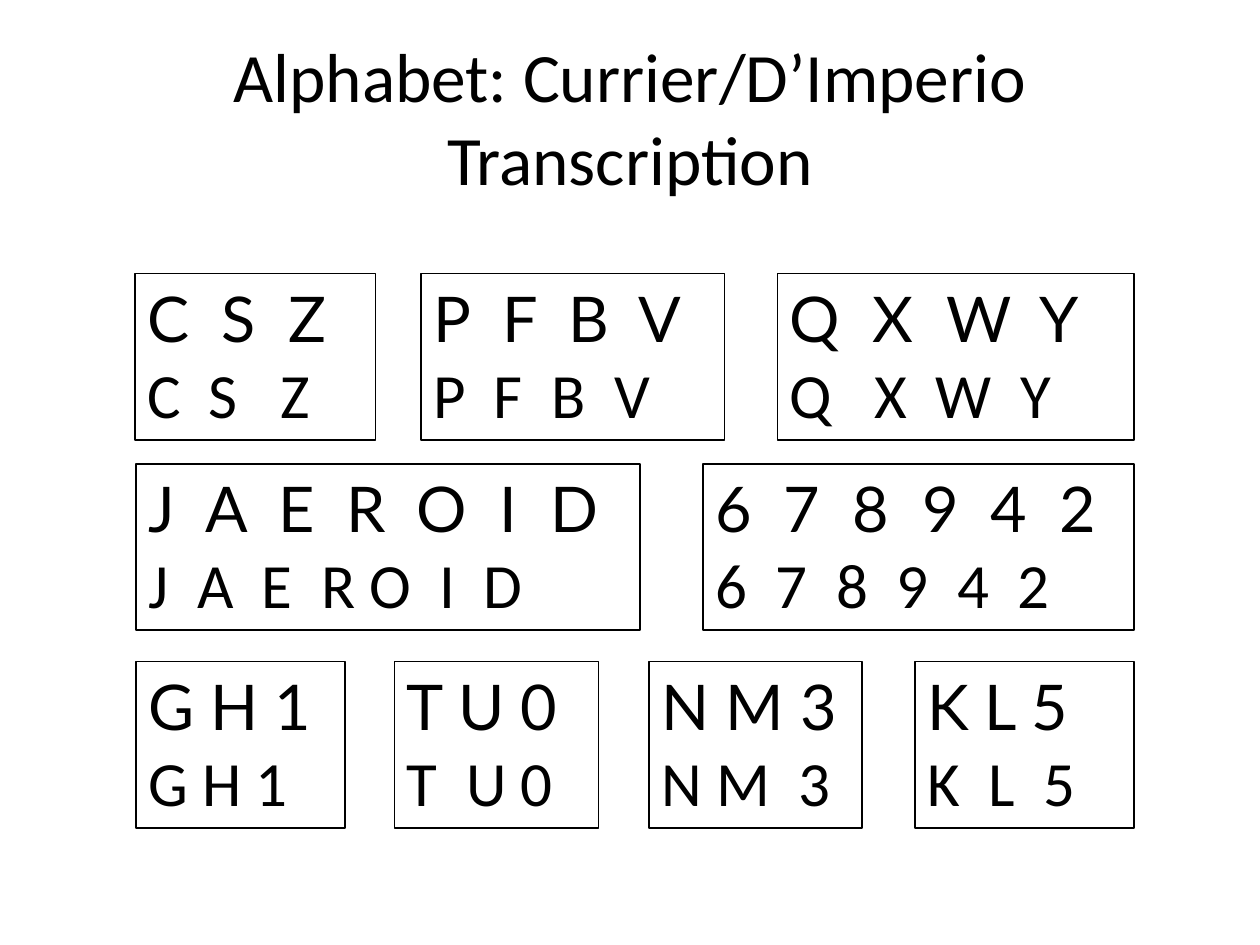
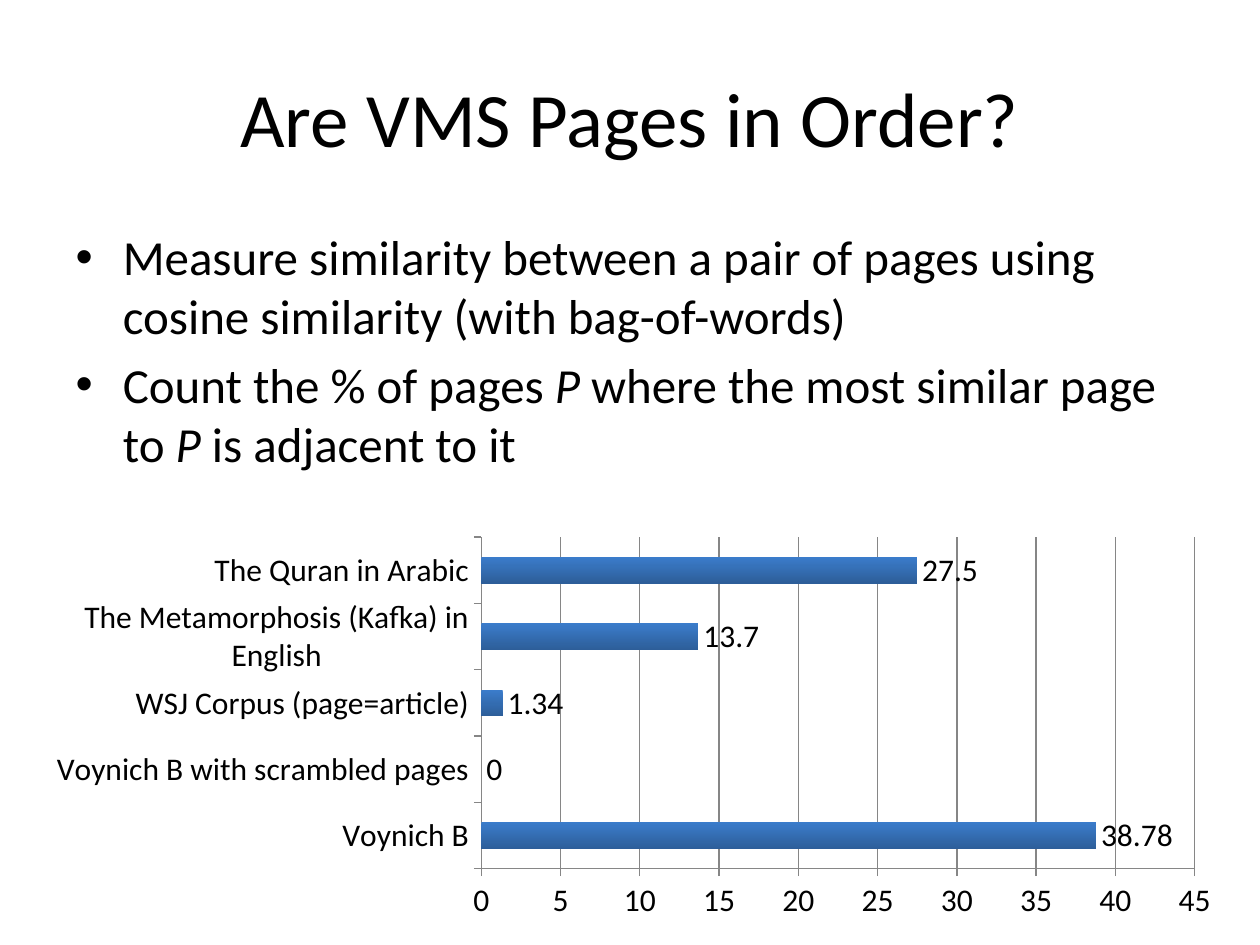
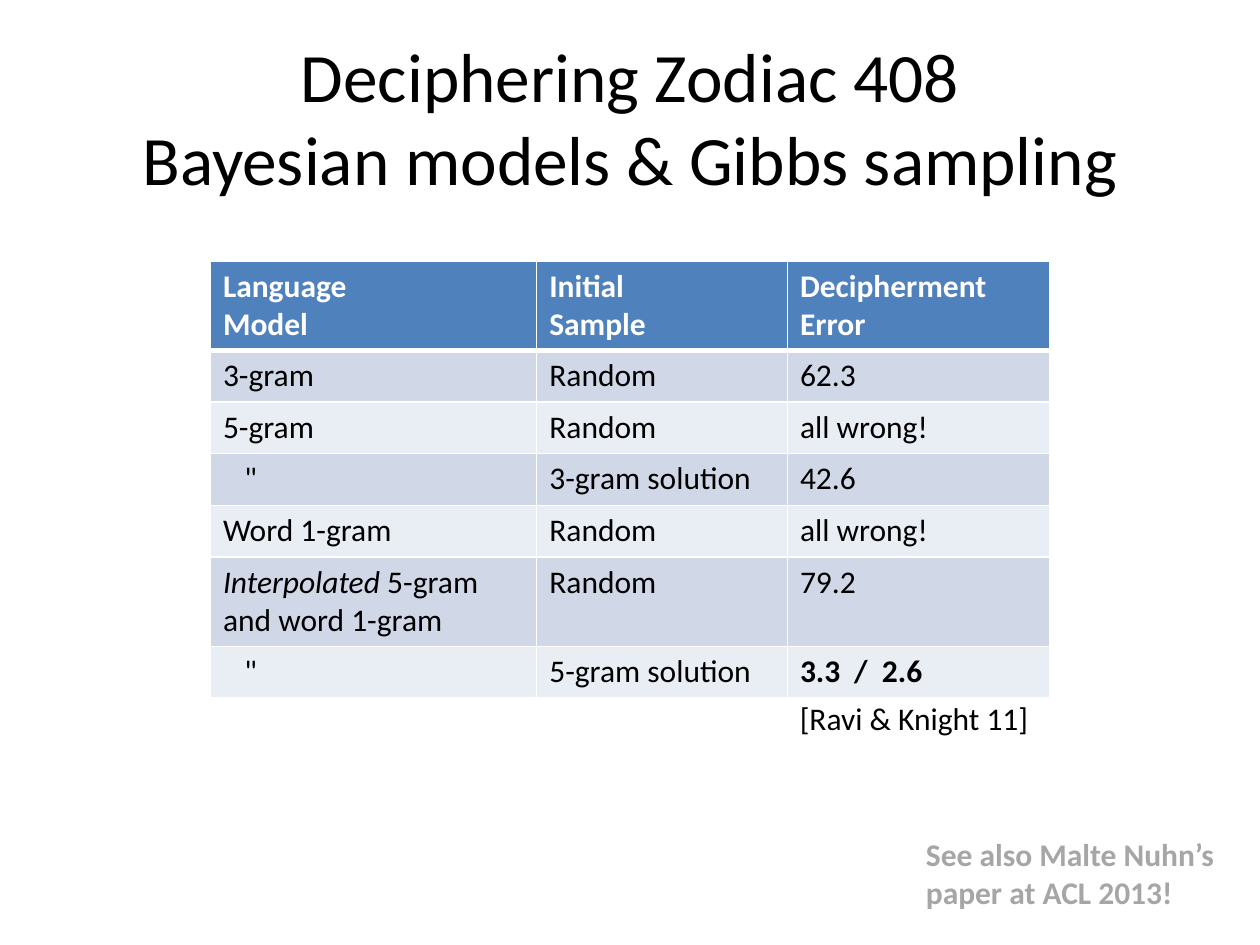
from lxml.etree import SubElement
from pptx import Presentation
from pptx.chart.data import CategoryChartData
from pptx.dml.color import RGBColor
from pptx.enum.chart import XL_CHART_TYPE, XL_LABEL_POSITION, XL_TICK_MARK
from pptx.enum.shapes import MSO_SHAPE
from pptx.enum.text import MSO_ANCHOR, MSO_AUTO_SIZE, PP_ALIGN
from pptx.oxml.ns import qn
from pptx.util import Pt

EMU_PER_PX = 9144  # 100 px to the inch
COLORS = {
    "text": "000000", "paper": "FFFFFF", "header": "4F81BD", "band_dark": "D0D8E8",
    "band_light": "E9EDF4", "note": "A6A6A6", "axis": "868686",
    "bar_top": "3B7CCB", "bar_bottom": "2D5E99",
}
BODY_FONT, GLYPH_FONT = "Calibri", "Lato"
TITLE_AND_BODY, TITLE_ONLY = 1, 5

# left, top, width, then (letters, tab stops) in the glyph font and in the body font
GLYPH_BOXES = [
    (107, 217, 191, ("C\tS\tZ", (59, 112)), ("C\tS\tZ", (49, 106))),
    (334, 217, 241, ("P\tF\tB\tV", (55, 107, 163)), ("P\tF\tB\tV", (48, 94, 144))),
    (617, 217, 283, ("Q\tX\tW\tY", (66, 124, 198)), ("Q\tX\tW\tY", (67, 116, 183))),
    (108, 368, 400, ("J\tA\tE\tR\tO\tI\tD", (45, 103, 157, 213, 279, 319)),
     ("J\tA\tE\tR O\tI\tD", (39, 90, 137, 231, 266))),
    (558, 368, 342, ("6\t7\t8\t9\t4\t2", (54, 109, 164, 218, 273)),
     ("6\t7\t8\t9\t4\t2", (48, 96, 144, 192, 240))),
    (108, 525, 166, ("G H 1", ()), ("G H 1", ())),
    (313, 525, 162, ("T U 0", ()), ("T\tU 0", (47,))),
    (515, 525, 169, ("N M 3", ()), ("N M\t3", (109,))),
    (726, 525, 174, ("K L 5", ()), ("K\tL\t5", (49, 92))),
]

ADJACENCY = {
    "Voynich B": 38.78,
    "Voynich B with scrambled pages": 0,
    "WSJ Corpus (page=article)": 1.34,
    "The Metamorphosis (Kafka) in English": 13.7,
    "The Quran in Arabic": 27.5,
}

DITTO = '"'
RESULTS = [
    ("Language\nModel", "Initial\nSample", "Decipherment\nError"),
    ("3-gram", "Random", "62.3"),
    ("5-gram", "Random", "all wrong!"),
    (DITTO, "3-gram solution", "42.6"),
    ("Word 1-gram", "Random", "all wrong!"),
    ("_Interpolated_ 5-gram\nand word 1-gram", "Random", "79.2"),
    (DITTO, "5-gram solution", "3.3\t/\t2.6"),
]


def px(*lengths):
    return [length * EMU_PER_PX for length in lengths]


def rgb(color):
    return RGBColor.from_string(COLORS[color])


def add_tab_stops(paragraph, stops):
    tab_list = SubElement(paragraph._p.get_or_add_pPr(), qn("a:tabLst"))
    for position in px(*stops):
        SubElement(tab_list, qn("a:tab"), pos=str(position), algn="l")


def write(paragraph, text, size=18, font=BODY_FONT, color="text", bold=False,
          align=None, stops=()):
    """Fill a paragraph; words between underscores become italic."""
    if stops:
        add_tab_stops(paragraph, stops)
    if align is not None:
        paragraph.alignment = align
    for index, part in enumerate(text.split("_")):
        if not part:
            continue
        for line_number, line in enumerate(part.split("\v")):
            if line_number:
                paragraph.add_line_break()
            run = paragraph.add_run()
            run.text = line
            run.font.size, run.font.name = Pt(size), font
            run.font.bold, run.font.italic = bold, index % 2 == 1
            run.font.color.rgb = rgb(color)


def write_lines(frame, text, **style):
    for index, line in enumerate(text.split("\n")):
        write(frame.add_paragraph() if index else frame.paragraphs[0], line, **style)


def add_border(cell, side, width):
    line = SubElement(cell._tc.get_or_add_tcPr(), qn(f"a:ln{side}"), w=str(Pt(width)))
    fill = SubElement(line, qn("a:solidFill"))
    SubElement(fill, qn("a:srgbClr"), val=COLORS["paper"])


class Deck:
    def __init__(self):
        self.presentation = Presentation()
        self.presentation.slide_width, self.presentation.slide_height = px(1000, 750)
        self.slide = None

    def place(self, placeholder, left, top, width, height):
        placeholder.left, placeholder.top, placeholder.width, placeholder.height = px(
            left, top, width, height)
        placeholder.text_frame.auto_size = MSO_AUTO_SIZE.NONE

    def new_slide(self, title, size=39.6, layout=TITLE_ONLY):
        self.slide = self.presentation.slides.add_slide(
            self.presentation.slide_layouts[layout])
        heading = self.slide.shapes.title
        self.place(heading, 50, 30, 900, 125)
        heading.text_frame.vertical_anchor = MSO_ANCHOR.MIDDLE
        write_lines(heading.text_frame, title, size=size, align=PP_ALIGN.CENTER)

    def bullets(self, text):
        body = self.slide.placeholders[1]
        self.place(body, 50, 175, 900, 495)
        write_lines(body.text_frame, text, size=28)
        body.text_frame.paragraphs[0].space_before = Pt(0)

    def glyph_box(self, left, top, width, glyphs, letters):
        box = self.slide.shapes.add_shape(
            MSO_SHAPE.RECTANGLE, *px(left, top, width, 132))
        box.shadow.inherit = False
        box.fill.background()
        box.line.color.rgb, box.line.width = rgb("text"), Pt(1)
        frame = box.text_frame
        frame.word_wrap, frame.vertical_anchor = True, MSO_ANCHOR.TOP
        for (text, stops), font, paragraph in (
                (glyphs, GLYPH_FONT, frame.paragraphs[0]),
                (letters, BODY_FONT, frame.add_paragraph())):
            write(paragraph, text, size=36, font=font, align=PP_ALIGN.LEFT, stops=stops)

    def note(self, left, top, width, height, text, **style):
        box = self.slide.shapes.add_textbox(*px(left, top, width, height))
        box.text_frame.word_wrap = False
        write_lines(box.text_frame, text, **style)

    def bar_chart(self, left, top, width, height, values):
        data = CategoryChartData()
        data.categories = list(values)
        data.add_series("Series 1", list(values.values()))
        chart = self.slide.shapes.add_chart(
            XL_CHART_TYPE.BAR_CLUSTERED, *px(left, top, width, height), data).chart
        chart.has_legend = chart.has_title = False
        chart.font.size, chart.font.name = Pt(18), BODY_FONT
        chart.font.color.rgb = rgb("text")

        plot = chart.plots[0]
        plot.gap_width, plot.vary_by_categories = 150, False
        plot.has_data_labels = True
        plot.data_labels.show_value = True
        plot.data_labels.position = XL_LABEL_POSITION.OUTSIDE_END
        bars = plot.series[0].format.fill
        bars.gradient()
        bars.gradient_angle = 270
        for stop, color in zip(bars.gradient_stops, ("bar_top", "bar_bottom")):
            stop.color.rgb = rgb(color)

        for axis in (chart.category_axis, chart.value_axis):
            axis.major_tick_mark = XL_TICK_MARK.OUTSIDE
            axis.format.line.color.rgb = rgb("axis")
        scale = chart.value_axis
        scale.minimum_scale, scale.maximum_scale, scale.major_unit = 0, 45, 5
        scale.has_major_gridlines = True
        scale.major_gridlines.format.line.color.rgb = rgb("axis")

    def banded_table(self, left, top, column_widths, rows):
        heights = [70 if "\n" in row[0] else 41 for row in rows]
        table = self.slide.shapes.add_table(
            len(rows), len(column_widths),
            *px(left, top, sum(column_widths), sum(heights))).table
        for column, width in zip(table.columns, px(*column_widths)):
            column.width = width
        for row, height in zip(table.rows, px(*heights)):
            row.height = height
        for row_number, row in enumerate(rows):
            is_header = row_number == 0
            band = "band_dark" if row_number % 2 else "band_light"
            for column_number, text in enumerate(row):
                cell = table.cell(row_number, column_number)
                for side, width in (("L", 1), ("R", 1), ("T", 3 if row_number == 1 else 1),
                                    ("B", 3 if is_header else 1)):
                    add_border(cell, side, width)
                cell.fill.solid()
                cell.fill.fore_color.rgb = rgb("header" if is_header else band)
                if text == DITTO:
                    cell.margin_left = px(27)[0]
                is_best = "\t" in text
                write_lines(cell.text_frame, text, bold=is_header or is_best,
                            color="paper" if is_header else "text",
                            stops=(43, 65) if is_best else ())


def main():
    deck = Deck()

    deck.new_slide("Alphabet: Currier/D’Imperio Transcription")
    for glyph_box in GLYPH_BOXES:
        deck.glyph_box(*glyph_box)

    deck.new_slide("Are VMS Pages in Order?", size=44, layout=TITLE_AND_BODY)
    deck.bullets("Measure similarity between a pair of pages using cosine similarity "
                 "(with bag-of-words)\n"
                 "Count the % of pages _P_ where the most similar page to _P_ "
                 "is adjacent to it")
    deck.bar_chart(26, 420, 954, 316, ADJACENCY)

    deck.new_slide("Deciphering Zodiac 408\vBayesian models & Gibbs sampling")
    deck.banded_table(167, 207, (259, 199, 208), RESULTS)
    deck.note(625, 550, 210, 40, "[Ravi & Knight 11]")
    deck.note(725, 658, 251, 71, "See also Malte Nuhn’s\npaper at ACL 2013!",
              color="note", bold=True)

    deck.presentation.save("out.pptx")


if __name__ == "__main__":
    main()
